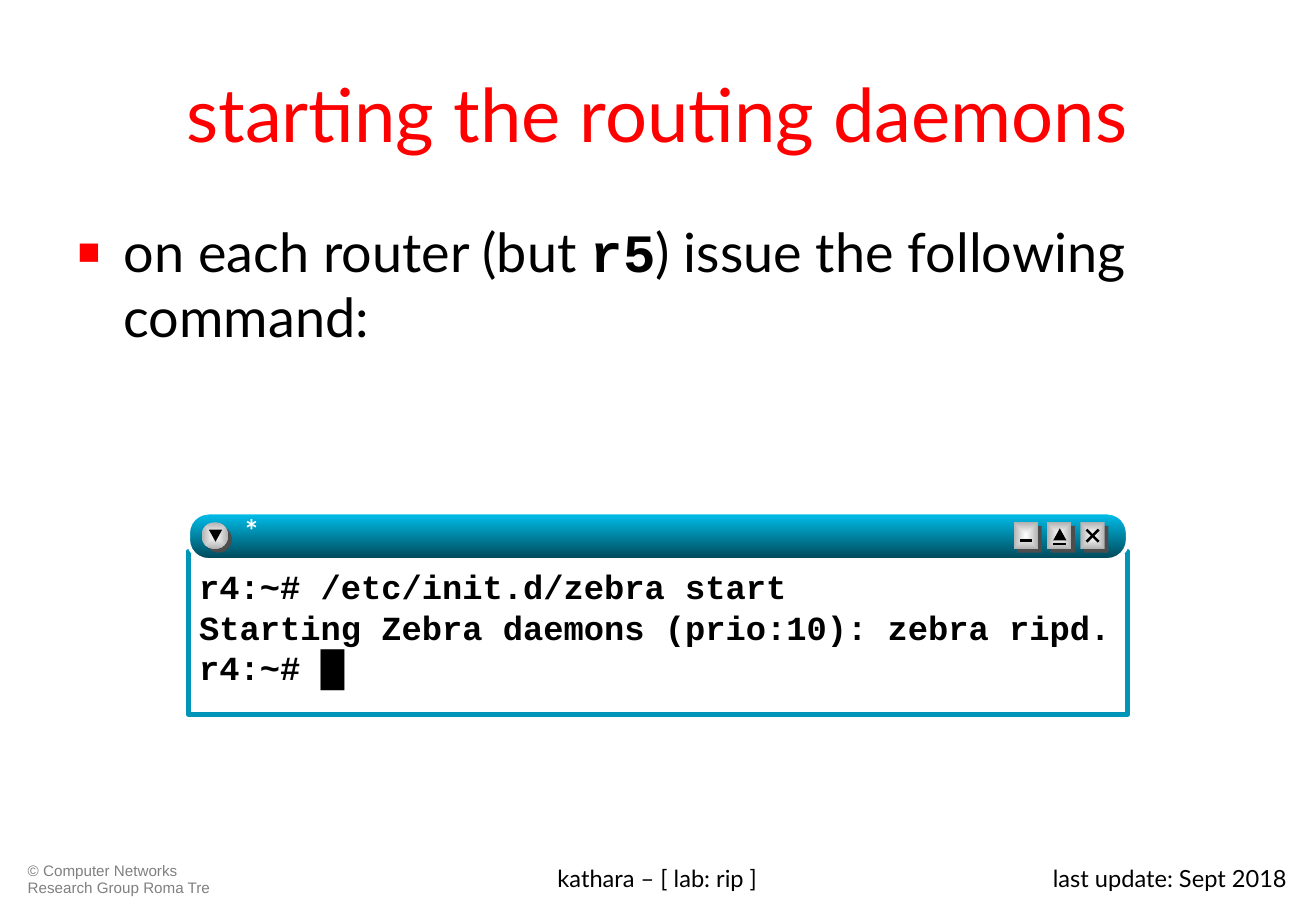
from dataclasses import dataclass

from lxml.etree import SubElement
from pptx import Presentation
from pptx.dml.color import RGBColor
from pptx.enum.shapes import MSO_CONNECTOR, MSO_SHAPE
from pptx.enum.text import MSO_ANCHOR, PP_ALIGN
from pptx.oxml import parse_xml
from pptx.oxml.ns import nsdecls, qn
from pptx.util import Inches, Pt


@dataclass(frozen=True)
class Theme:
    sans: str = "Lato"
    mono: str = "Courier New"
    plain: str = "Arial"
    accent: str = "FF0000"
    ink: str = "000000"
    paper: str = "FFFFFF"
    muted: str = "808080"
    frame: str = "0095B8"
    bar: tuple = ("00C1EE", "004656")
    button: tuple = ("FFFFFF", "B2B2B2")
    button_shade: str = "4D4D4D"
    title_size: float = 44
    body_size: float = 32
    code_size: float = 20
    bar_size: float = 18
    footer_size: float = 14
    credit_size: float = 9


def write_text(frame, paragraphs, *, size, font, color, bold=False,
               align=PP_ALIGN.LEFT, spacing=None, bullet=None):
    spans = []
    for index, pieces in enumerate(paragraphs):
        para = frame.paragraphs[0] if index == 0 else frame.add_paragraph()
        para.alignment = align
        if spacing:
            para.line_spacing = spacing
        if bullet:
            add_bullet(para, bullet)
        for piece in pieces:
            text, piece_font, piece_bold = (
                (piece, font, bold) if isinstance(piece, str) else piece)
            span = para.add_run()
            span.text = text
            span.font.size = Pt(size)
            span.font.name = piece_font
            span.font.bold = piece_bold
            span.font.color.rgb = RGBColor.from_string(color)
            spans.append(span)
    return spans


def add_bullet(para, color):
    properties = para._p.get_or_add_pPr()
    properties.set("marL", str(Inches(0.38)))
    properties.set("indent", str(Inches(-0.38)))
    tint = SubElement(properties, qn("a:buClr"))
    SubElement(tint, qn("a:srgbClr"), val=color)
    SubElement(properties, qn("a:buSzPct"), val="70000")
    SubElement(properties, qn("a:buFont"), typeface="Arial")
    SubElement(properties, qn("a:buChar"), char="■")


def add_text_shadow(span, color):
    span.font.fill._xPr.find(qn("a:solidFill")).addnext(parse_xml(
        f'<a:effectLst {nsdecls("a")}><a:outerShdw dist="17961" dir="2700000">'
        f'<a:srgbClr val="{color}"/></a:outerShdw></a:effectLst>'))


class SlideBuilder:
    def __init__(self, deck, theme):
        self.theme = theme
        self.page = deck.slides.add_slide(deck.slide_layouts[5])
        self.shapes = self.page.shapes

    def title(self, text, left, top, width, height):
        box = self.page.shapes.title
        box.left, box.top = Inches(left), Inches(top)
        box.width, box.height = Inches(width), Inches(height)
        box.text_frame.vertical_anchor = MSO_ANCHOR.MIDDLE
        write_text(box.text_frame, [[text]], size=self.theme.title_size,
                   font=self.theme.sans, color=self.theme.accent,
                   align=PP_ALIGN.CENTER)

    def text(self, paragraphs, left, top, width, height,
             insets=(0.1, 0.05, 0.1, 0.05), **style):
        box = self.shapes.add_textbox(
            Inches(left), Inches(top), Inches(width), Inches(height))
        frame = box.text_frame
        frame.word_wrap = True
        frame.margin_left, frame.margin_top, frame.margin_right, \
            frame.margin_bottom = map(Inches, insets)
        return write_text(frame, paragraphs, **style)

    def shape(self, kind, left, top, width, height, fill=None,
              line=None, line_width=0, from_center=False):
        shape = self.shapes.add_shape(
            kind, Inches(left), Inches(top), Inches(width), Inches(height))
        shape.shadow.inherit = False
        if fill is None:
            shape.fill.background()
        elif isinstance(fill, str):
            shape.fill.solid()
            shape.fill.fore_color.rgb = RGBColor.from_string(fill)
        else:
            self.gradient(shape, fill, from_center)
        if line:
            shape.line.color.rgb = RGBColor.from_string(line)
            shape.line.width = Pt(line_width)
        else:
            shape.line.fill.background()
        return shape

    def gradient(self, shape, colors, from_center):
        shape.fill.gradient()
        shape.fill.gradient_angle = 270
        for stop, color in zip(shape.fill.gradient_stops, colors):
            stop.color.rgb = RGBColor.from_string(color)
        if from_center:
            gradient = shape.element.spPr.find(qn("a:gradFill"))
            gradient.remove(gradient.find(qn("a:lin")))
            center = SubElement(gradient, qn("a:path"), {"path": "rect"})
            SubElement(center, qn("a:fillToRect"),
                       dict.fromkeys("ltrb", "50000"))

    def line(self, start_x, start_y, end_x, end_y):
        line = self.shapes.add_connector(
            MSO_CONNECTOR.STRAIGHT, Inches(start_x), Inches(start_y),
            Inches(end_x), Inches(end_y))
        line.line.color.rgb = RGBColor.from_string(self.theme.ink)
        line.line.width = Pt(1.5)
        SubElement(line.element.spPr, qn("a:effectLst"))

    def triangle(self, left, top, rotation=0):
        shape = self.shape(MSO_SHAPE.ISOSCELES_TRIANGLE, left, top, 0.11, 0.1,
                           fill=self.theme.ink)
        shape.rotation = rotation

    def button(self, kind, left, width, strokes=(), triangle=None):
        top = 4.3
        self.shapes = self.page.shapes.add_group_shape().shapes
        self.shape(kind, left + 0.03, top + 0.03, width, 0.22,
                   fill=self.theme.button_shade)
        self.shape(kind, left, top, width, 0.22, fill=self.theme.button,
                   from_center=True)
        for start_x, start_y, end_x, end_y in strokes:
            self.line(left + start_x, top + start_y, left + end_x, top + end_y)
        if triangle:
            shift_x, shift_y, rotation = triangle
            self.triangle(left + shift_x, top + shift_y, rotation)
        self.shapes = self.page.shapes

    def terminal(self, left, top, width, commands):
        theme = self.theme
        self.shape(MSO_SHAPE.RECTANGLE, left, top + 0.32, width, 1.34,
                   line=theme.frame, line_width=3)
        self.text(commands, left + 0.01, top + 0.32, width, 1.34,
                  insets=(0.08, 0.12, 0.08, 0.04), size=theme.code_size,
                  font=theme.mono, color=theme.ink, bold=True)
        bar = self.shape(MSO_SHAPE.ROUNDED_RECTANGLE, left, top, width, 0.39,
                         fill=theme.bar, line=theme.paper, line_width=2.25)
        bar.adjustments[0] = 0.43
        self.button(MSO_SHAPE.OVAL, left + 0.11, 0.22,
                    triangle=(0.06, 0.06, 180))
        window_buttons = [
            ([(0.05, 0.15, 0.15, 0.15)], None),
            ([(0.05, 0.18, 0.16, 0.18)], (0.05, 0.05, 0)),
            ([(0.05, 0.16, 0.15, 0.06), (0.05, 0.06, 0.15, 0.16)], None),
        ]
        for index, (strokes, triangle) in enumerate(window_buttons):
            self.button(MSO_SHAPE.RECTANGLE, left + 6.8 + index * 0.275, 0.2,
                        strokes, triangle)
        label = self.text([["*"]], left + 0.47, top, 7.24, 0.39,
                          insets=(0, 0, 0, 0), size=theme.bar_size,
                          font=theme.sans, color=theme.paper, bold=True)
        add_text_shadow(label[0], theme.ink)


def main():
    theme = Theme()
    deck = Presentation()
    deck.slide_width, deck.slide_height = Inches(10.84), Inches(7.5)
    slide = SlideBuilder(deck, theme)

    slide.text([["© Computer Networks Research Group Roma Tre"]],
               0.13, 7.06, 1.88, 0.36, size=theme.credit_size,
               font=theme.plain, color=theme.muted, spacing=0.9)
    footers = [("last update: Sept 2018", 8.23, 2.47, PP_ALIGN.RIGHT),
               ("kathara – [ lab: rip ]", 2.77, 5.29, PP_ALIGN.CENTER)]
    for text, left, width, align in footers:
        slide.text([[text]], left, 7.06, width, 0.36, size=theme.footer_size,
                   font=theme.sans, color=theme.ink, align=align)

    slide.title("starting the routing daemons", 0.54, 0.3, 9.75, 1.25)
    slide.text([["on each router (but ", ("r5", theme.mono, True),
                 ") issue the following command:"]],
               0.54, 1.75, 9.75, 4.95, size=theme.body_size,
               font=theme.sans, color=theme.ink, bullet=theme.accent)
    slide.terminal(1.55, 4.22, 7.74, [
        ["r4:~# /etc/init.d/zebra start"],
        ["Starting Zebra daemons (prio:10): zebra ripd."],
        ["r4:~# ", ("█", theme.plain, True)],
    ])
    deck.save("out.pptx")


if __name__ == "__main__":
    main()
